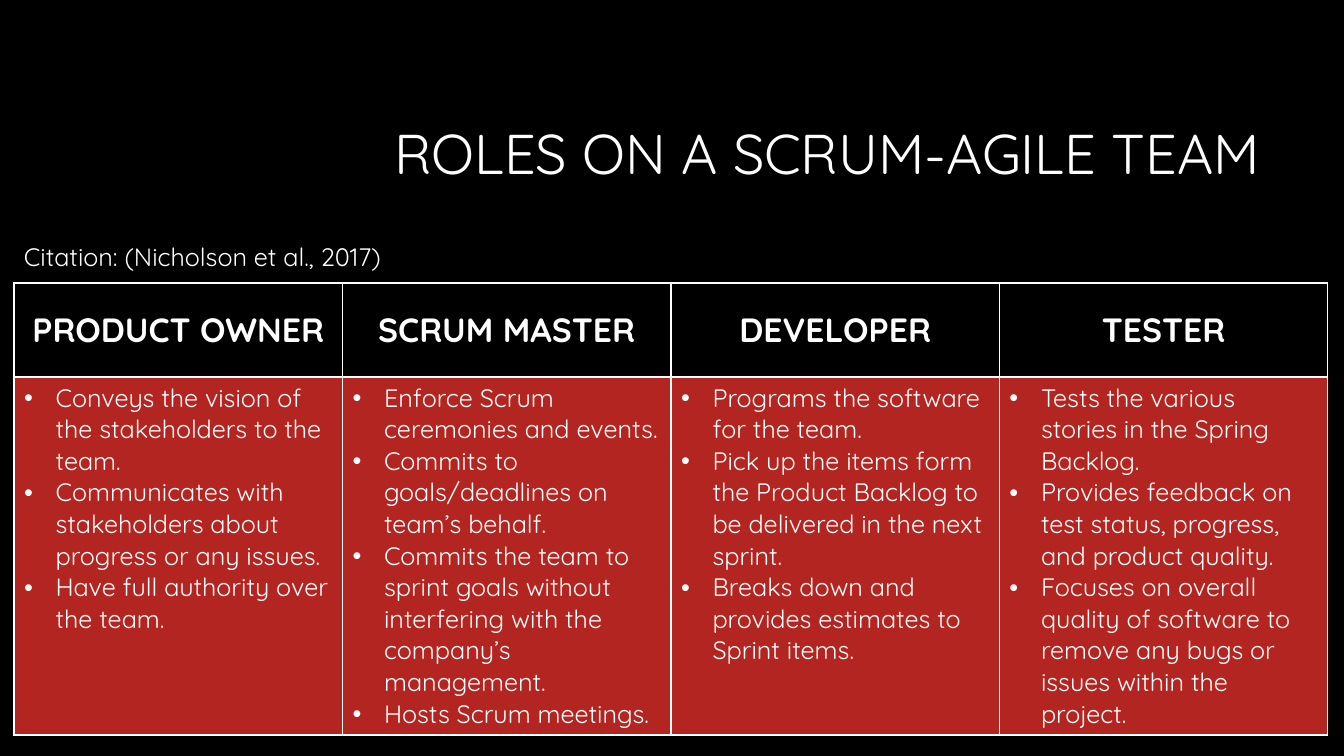
"""Build the slide on the roles of a Scrum-agile team."""
from dataclasses import dataclass

from lxml import etree
from pptx import Presentation
from pptx import util as u
from pptx.dml.color import RGBColor
from pptx.enum import text
from pptx.oxml import ns

SCALE = 9144000 / 1008
FONT = "Quicksand"
BLACK = RGBColor(0x00, 0x00, 0x00)
WHITE = RGBColor(0xFF, 0xFF, 0xFF)
RED = RGBColor(0xB3, 0x25, 0x20)
HEADER_HEIGHT = 94
DUTIES_HEIGHT = 358
BULLET_INDENT = 31.5


@dataclass(frozen=True)
class Box:
    """A rectangle in pixels."""

    left: int
    top: int
    width: int
    height: int

    def emu(self) -> tuple[int, ...]:
        """Return the rectangle in EMU."""
        return tuple(px(side) for side in (self.left, self.top, self.width, self.height))


@dataclass(frozen=True)
class Role:
    """A team role and its duties."""

    name: str
    duties: tuple[str, ...]


ROLES = (
    Role("PRODUCT OWNER", (
        "Conveys the vision of the stakeholders to the team.",
        "Communicates with stakeholders about progress or any issues.",
        "Have full authority over the team.",
    )),
    Role("SCRUM MASTER", (
        "Enforce Scrum ceremonies and events.",
        "Commits to goals/deadlines on team’s behalf.",
        "Commits the team to sprint goals without interfering with the company’s management.",
        "Hosts Scrum meetings.",
    )),
    Role("DEVELOPER", (
        "Programs the software for the team.",
        "Pick up the items form the Product Backlog to be delivered in the next sprint.",
        "Breaks down and provides estimates to Sprint items.",
    )),
    Role("TESTER", (
        "Tests the various stories in the Spring Backlog.",
        "Provides feedback on test status, progress, and product quality.",
        "Focuses on overall quality of software to remove any bugs or issues within the project.",
    )),
)
TITLE_BOX = Box(320, 84, 950, 144)
CITATION_BOX = Box(14, 236, 410, 40)
TABLE_BOX = Box(14, 283, 1314, HEADER_HEIGHT + DUTIES_HEIGHT)


def px(pixels: float) -> int:
    """Turn pixels into EMU."""
    return round(pixels * SCALE)


def format_text(frame, size: int, alignment, bold: bool = False) -> None:
    """Apply font and alignment to every paragraph of a text frame."""
    for paragraph in frame.paragraphs:
        paragraph.alignment = alignment
        for run in paragraph.runs:
            run.font.name = FONT
            run.font.size = u.Pt(size)
            run.font.bold = bold
            run.font.color.rgb = WHITE


def add_bullet(paragraph) -> None:
    """Give a paragraph a hanging round bullet."""
    properties = paragraph._p.get_or_add_pPr()
    properties.set("marL", str(px(BULLET_INDENT)))
    properties.set("indent", str(-px(BULLET_INDENT)))
    etree.SubElement(properties, ns.qn("a:buFont"), typeface="Arial")
    etree.SubElement(properties, ns.qn("a:buChar"), char="•")


def style_cell(cell, color: RGBColor) -> None:
    """Fill a cell and draw its four white borders."""
    cell.fill.solid()
    cell.fill.fore_color.rgb = color
    properties = cell._tc.get_or_add_tcPr()
    for position, side in enumerate(("lnL", "lnR", "lnT", "lnB")):
        line = etree.Element(ns.qn(f"a:{side}"), w=str(u.Pt(1)))
        fill = etree.SubElement(line, ns.qn("a:solidFill"))
        etree.SubElement(fill, ns.qn("a:srgbClr"), val=str(WHITE))
        properties.insert(position, line)


def add_title(slide) -> None:
    """Place and format the title."""
    title = slide.shapes.title
    title.left, title.top, title.width, title.height = TITLE_BOX.emu()
    frame = title.text_frame
    frame.text = "ROLES ON A SCRUM-AGILE TEAM"
    frame.auto_size = text.MSO_AUTO_SIZE.NONE
    frame.vertical_anchor = text.MSO_ANCHOR.MIDDLE
    format_text(frame, 40, text.PP_ALIGN.RIGHT)
    frame.paragraphs[0].line_spacing = 0.9


def add_citation(slide) -> None:
    """Add the citation above the table."""
    frame = slide.shapes.add_textbox(*CITATION_BOX.emu()).text_frame
    frame.text = "Citation: (Nicholson et al., 2017)"
    frame.word_wrap = False
    format_text(frame, 18, text.PP_ALIGN.LEFT)


def add_roles_table(slide) -> None:
    """Add the table with one column for each role."""
    table = slide.shapes.add_table(2, len(ROLES), *TABLE_BOX.emu()).table
    table.rows[0].height = px(HEADER_HEIGHT)
    table.rows[1].height = px(DUTIES_HEIGHT)
    for column, role in enumerate(ROLES):
        header, duties = table.cell(0, column), table.cell(1, column)
        header.text_frame.text = role.name
        header.vertical_anchor = text.MSO_ANCHOR.MIDDLE
        format_text(header.text_frame, 24, text.PP_ALIGN.CENTER, bold=True)
        style_cell(header, BLACK)
        duties.text_frame.text = "\n".join(role.duties)
        format_text(duties.text_frame, 18, text.PP_ALIGN.LEFT)
        for paragraph in duties.text_frame.paragraphs:
            add_bullet(paragraph)
        style_cell(duties, RED)


def main() -> None:
    """Build and save the presentation."""
    presentation = Presentation()
    presentation.slide_width, presentation.slide_height = px(1344), px(756)
    slide = presentation.slides.add_slide(presentation.slide_layouts.get_by_name("Title Only"))
    slide.background.fill.solid()
    slide.background.fill.fore_color.rgb = BLACK
    add_title(slide)
    add_roles_table(slide)
    add_citation(slide)
    presentation.save("out.pptx")


main()
